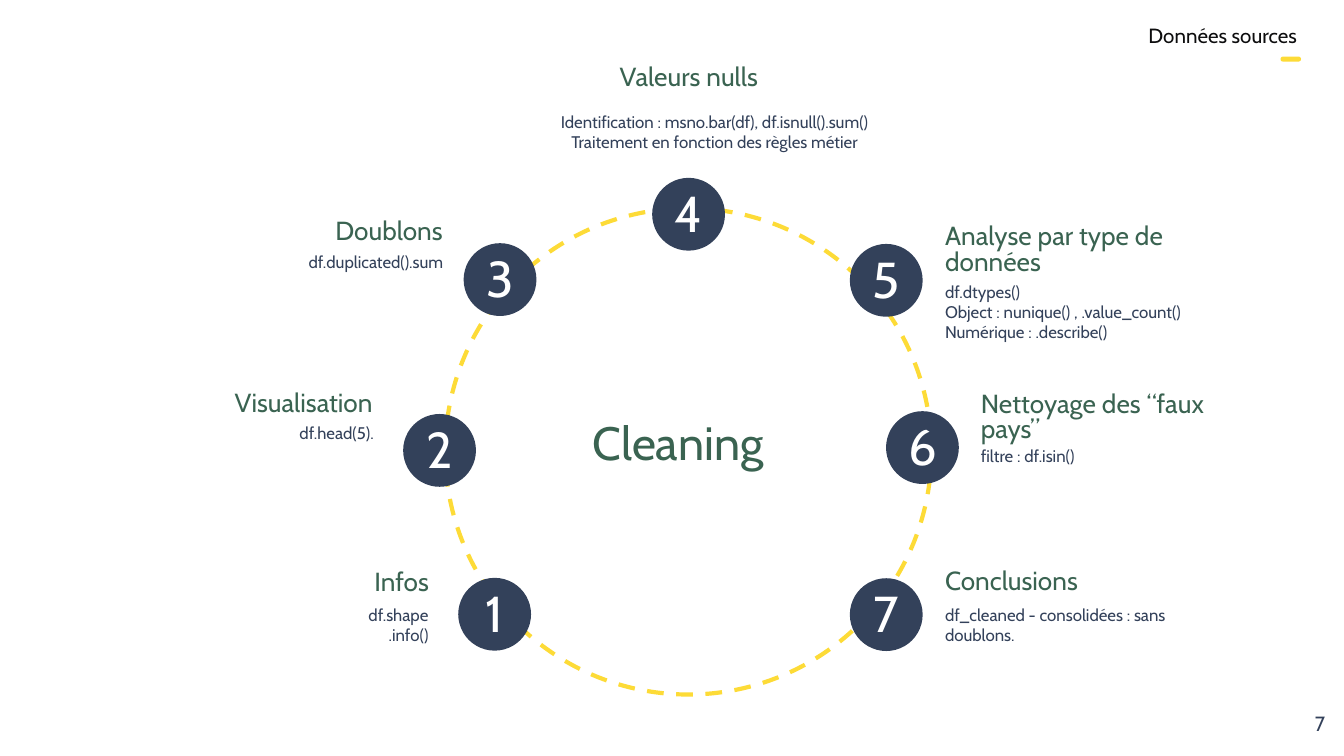
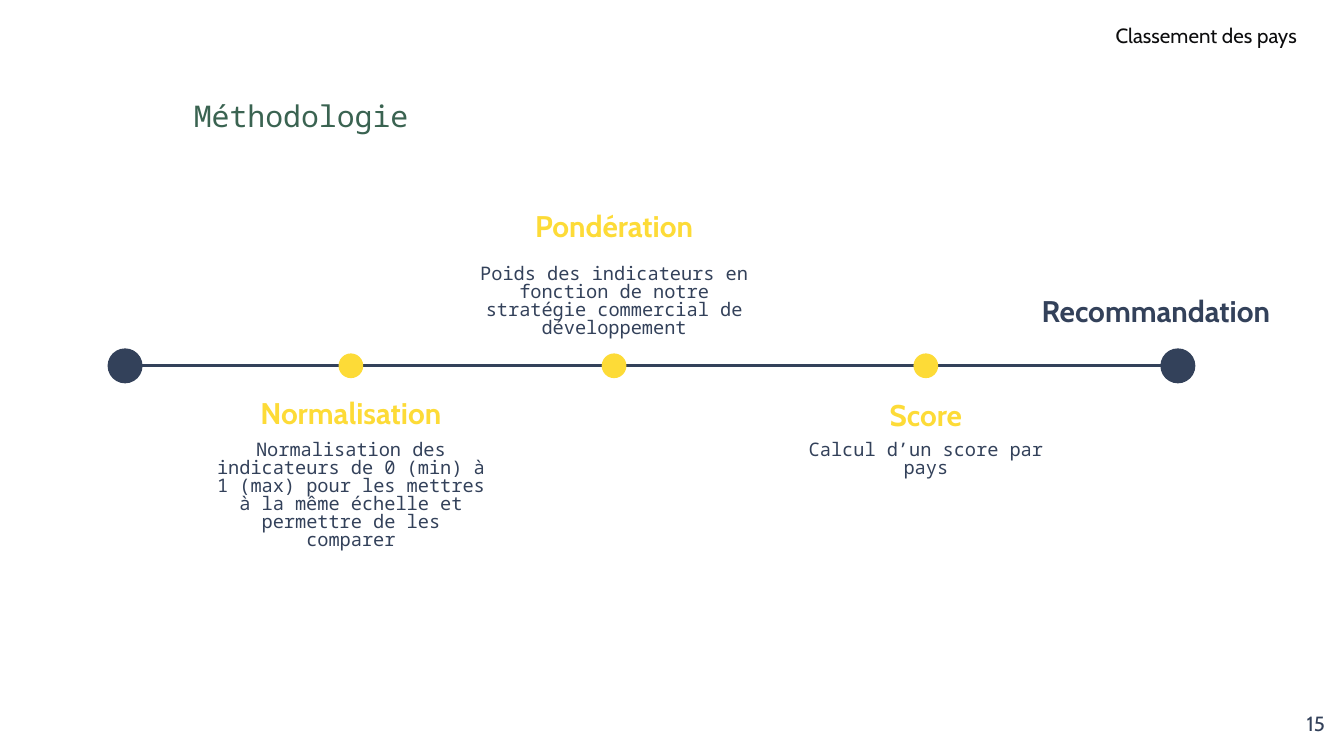
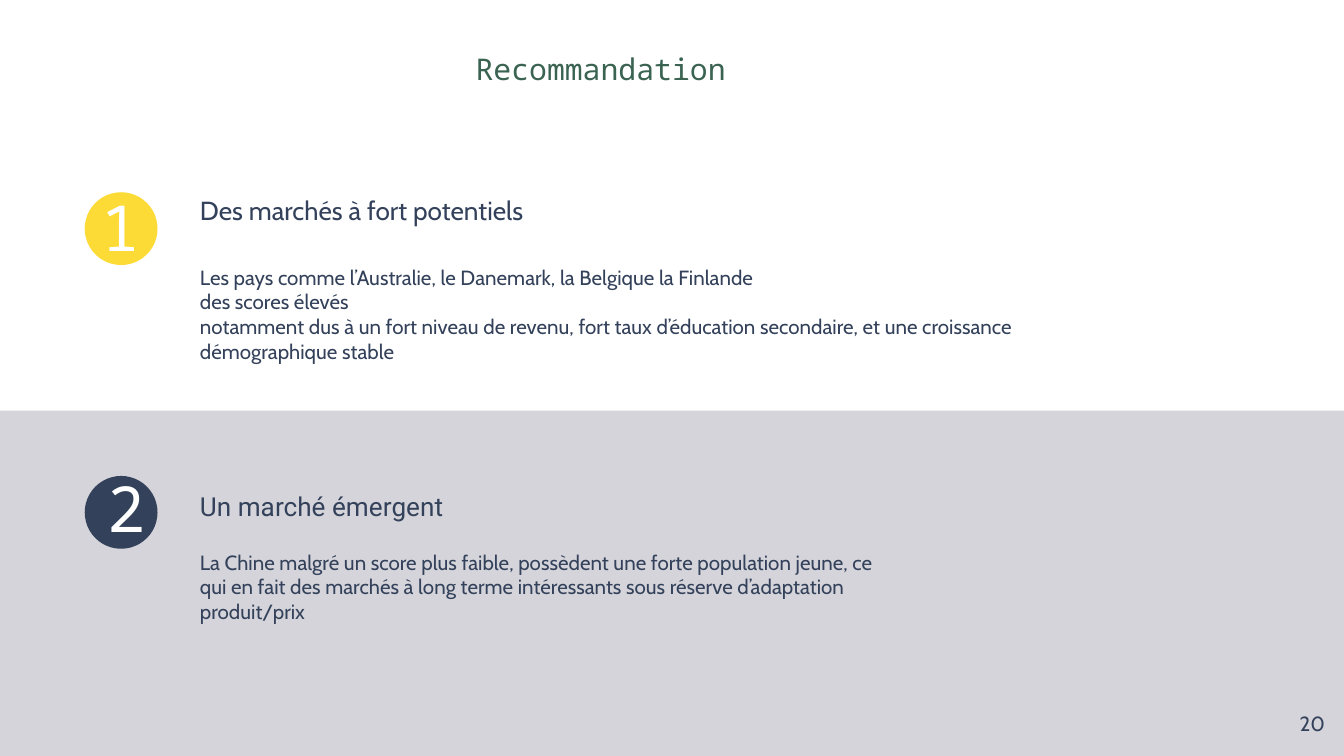
from lxml import etree
from pptx import Presentation
from pptx import util as u
from pptx.dml import color
from pptx.enum import dml, shapes, text
from pptx.oxml import ns

COLORS = {
    "navy": "33415A",
    "green": "3A6351",
    "yellow": "FDDB37",
    "grey": "D4D4DA",
    "black": "0D0D0E",
    "white": "FFFFFF",
}
SANS, MONO = "Cabin", "Noto Sans Mono"
LEFT, CENTER, RIGHT = text.PP_ALIGN.LEFT, text.PP_ALIGN.CENTER, text.PP_ALIGN.RIGHT
OVAL = shapes.MSO_SHAPE.OVAL
INSET = 7.2
DISC = 39


def add_text(page, lines, x, y, width, height, size, ink="navy", align=LEFT,
             font=SANS, spacing=None, bold=None, grow=True):
    box = page.shapes.add_textbox(u.Pt(x), u.Pt(y), u.Pt(width), u.Pt(height))
    frame = box.text_frame
    frame.word_wrap = True
    frame.auto_size = text.MSO_AUTO_SIZE.SHAPE_TO_FIT_TEXT if grow else text.MSO_AUTO_SIZE.NONE
    frame.margin_left = frame.margin_right = u.Pt(INSET)
    frame.margin_top = frame.margin_bottom = u.Pt(INSET)
    frame.text = lines
    for para in frame.paragraphs:
        para.alignment = align
        para.line_spacing = spacing
        para.font.size = u.Pt(size)
        para.font.name = font
        para.font.bold = bold
        para.font.color.rgb = color.RGBColor.from_string(COLORS[ink])


def add_form(page, kind, x, y, width, height, fill=None, line=None, weight=0.75):
    form = page.shapes.add_shape(kind, u.Pt(x), u.Pt(y), u.Pt(width), u.Pt(height))
    form.shadow.inherit = False
    for paint, name in ((form.fill, fill), (form.line.fill, line)):
        if name:
            paint.solid()
            paint.fore_color.rgb = color.RGBColor.from_string(COLORS[name])
        else:
            paint.background()
    if line:
        form.line.width = u.Pt(weight)
    return form


deck = Presentation()
deck.slide_width, deck.slide_height = u.Pt(720), u.Pt(405)

pages = []
for number, section in (("7", "Données sources"), ("15", "Classement des pays"), ("20", None)):
    page = deck.slides.add_slide(deck.slide_layouts[6])
    page.background.fill.solid()
    page.background.fill.fore_color.rgb = color.RGBColor.from_string(COLORS["white"])
    if number == "20":
        add_form(page, shapes.MSO_SHAPE.RECTANGLE, 0, 220, 720, 185, "grey")
    add_text(page, number, 674, 373.7, 43, 31, 11, align=RIGHT, grow=False)
    if section:
        add_text(page, section, 481, 9.4, 221, 25, 11, "black", RIGHT, spacing=0.8)
    pages.append(page)
cleaning, method, advice = pages

ring = add_form(cleaning, OVAL, 238.5, 111.6, 260.5, 260.5, line="yellow", weight=2.25)
ring.line.dash_style = dml.MSO_LINE.DASH
accent = add_form(cleaning, shapes.MSO_SHAPE.ROUNDED_RECTANGLE, 686, 30.3, 11, 2.7, "yellow")
accent.adjustments[0] = 0.5
add_text(cleaning, "Cleaning", 291.6, 220.3, 143.3, 39, 25, "green", CENTER, spacing=0.8)

steps = [
    ((245.5, 309.6), RIGHT, "Infos", (93.6, 299.5, 28), "df.shape\n.info()", (98.6, 316.8, 138, 47.5)),
    ((216, 221.8), RIGHT, "Visualisation", (63.4, 203.5, 28), "df.head(5).", (75.5, 221, 131.8, 25)),
    ((248.4, 130.3), RIGHT, "Doublons", (101, 111.6, 28), "df.duplicated().sum", (106.5, 129.6, 138, 25)),
    ((349.4, 95.3), CENTER, "Valeurs nulls", (297.4, 28.6, 28),
     "Identification : msno.bar(df), df.isnull().sum()\nTraitement en fonction des règles métier",
     (282.2, 52.7, 201, 36)),
    ((455.3, 130.7), LEFT, "Analyse par type de données", (499.2, 113.8, 41.8),
     "df.dtypes()\nObject : nunique() , .value_count()\nNumérique : .describe()", (499.2, 143.5, 153.4, 47.5)),
    ((474.7, 220.3), LEFT, "Nettoyage des “faux pays”", (518.4, 203.3, 41.8),
     "filtre : df.isin()", (518.4, 233.3, 138, 25)),
    ((455.3, 309.8), LEFT, "Conclusions", (499.2, 298.8, 28),
     "df_cleaned - consolidées : sans doublons.", (499.2, 316.6, 138, 36)),
]
for order, (disc, align, heading, place, detail, detail_place) in enumerate(steps, 1):
    x, y = disc
    add_form(cleaning, OVAL, x, y, DISC, DISC, "navy")
    add_text(cleaning, str(order), x + 2.5, y + 1.2, 34, 41, 27, "white", CENTER, spacing=0.8)
    left, top, height = place
    add_text(cleaning, heading, left, top, 143.3, height, 14, "green", align, spacing=0.8)
    add_text(cleaning, detail, *detail_place, 9, align=align)

axis_y, start_x, end_x = 196, 67, 631
axis = method.shapes.add_connector(
    shapes.MSO_CONNECTOR.STRAIGHT, u.Pt(start_x), u.Pt(axis_y), u.Pt(end_x), u.Pt(axis_y))
axis.line.color.rgb = color.RGBColor.from_string(COLORS["navy"])
axis.line.width = u.Pt(1.5)
etree.SubElement(axis._element.spPr, ns.qn("a:effectLst"))
for x in (start_x, end_x):
    add_form(method, OVAL, x - 9, axis_y - 9, 18, 18, "navy", "navy")

stages = [
    (188, "Normalisation", 208, 229.7, 53,
     "Normalisation des indicateurs de 0 (min) à 1 (max) pour les mettres à la même échelle "
     "et permettre de les comparer"),
    (329, "Pondération", 108, 135.4, 44,
     "Poids des indicateurs en fonction de notre stratégie commercial de développement"),
    (496, "Score", 208.8, 229.7, 24.5, "Calcul d’un score par pays"),
]
for x, heading, heading_y, detail_y, detail_height, detail in stages:
    add_form(method, OVAL, x - 5.5, axis_y - 5.5, 11, 11, "yellow", "yellow", 2.25)
    add_text(method, heading, x - 79, heading_y, 158, 30, 16, "yellow", CENTER, spacing=0.8, bold=True)
    add_text(method, detail, x - 79, detail_y, 158, detail_height, 10, align=CENTER, font=MONO, spacing=0.8)
add_text(method, "Recommandation", 533.5, 153.4, 171.4, 30, 16, align=CENTER, spacing=0.8, bold=True)

for page, title, x, y, width in ((method, "Méthodologie", 75.6, 49, 171.4),
                                 (advice, "Recommandation", 203.8, 23.8, 236)):
    add_text(page, title, x, y, width, 30, 16, "green", CENTER, MONO, 0.8)

markets = [
    ("yellow", 103, (41.8, 101.5), "Des marchés à fort potentiels", SANS, 97.2, (134.6, 474.5, 67.7),
     "Les pays comme l’Australie, le Danemark, la Belgique la Finlande\ndes scores élevés\n"
     "notamment dus à un fort niveau de revenu, fort taux d’éducation secondaire, "
     "et une croissance démographique stable"),
    ("navy", 255, (44.6, 252), "Un marché émergent", "Roboto", 255.6, (287.3, 377.3, 65.5),
     "La Chine malgré un score plus faible, possèdent une forte population jeune, ce qui en fait "
     "des marchés à long terme intéressants sous réserve d’adaptation produit/prix"),
]
for order, (fill, disc_y, digit, heading, font, heading_y, place, detail) in enumerate(markets, 1):
    add_form(advice, OVAL, 45.4, disc_y, DISC, DISC, fill)
    add_text(advice, str(order), *digit, 46, 47.5, 34, "white", CENTER, MONO, 0.8)
    add_text(advice, heading, 100, heading_y, 290, 31.7, 14, font=font)
    top, width, height = place
    add_text(advice, detail, 100, top, width, height, 11)

deck.save("out.pptx")
